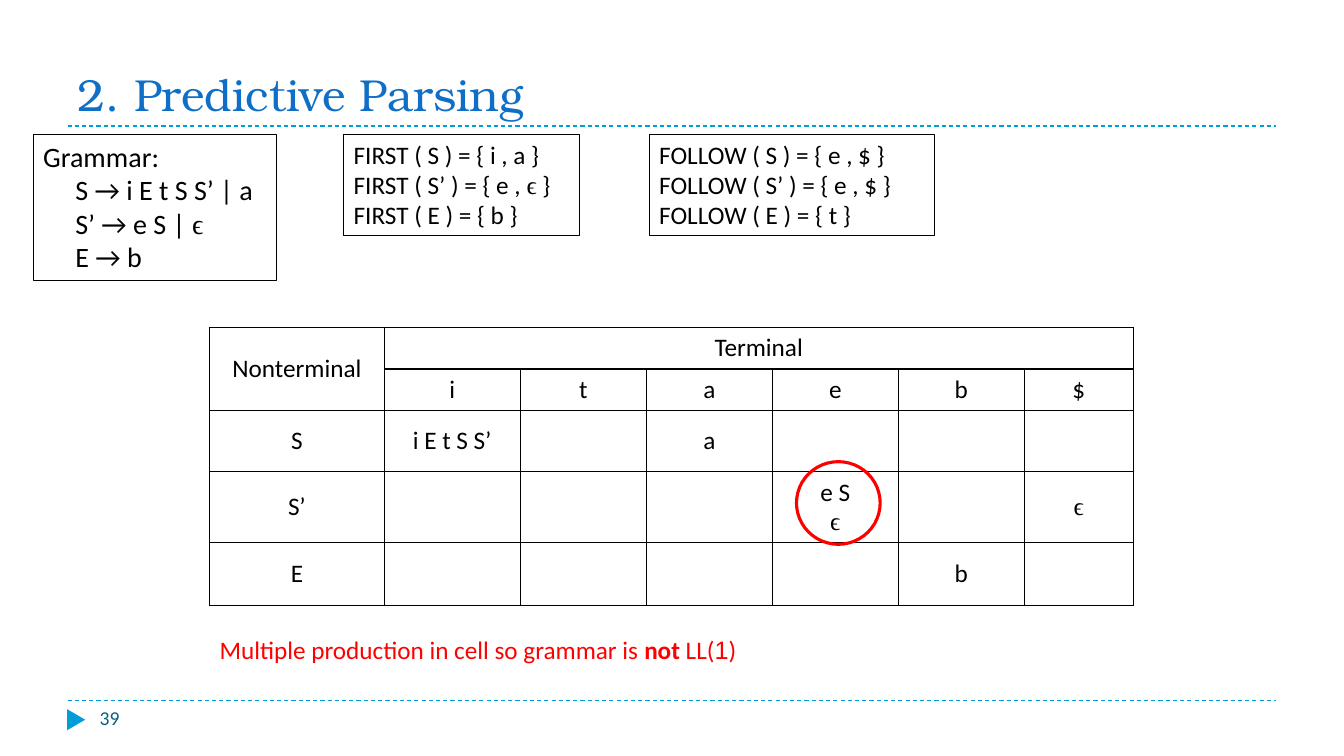
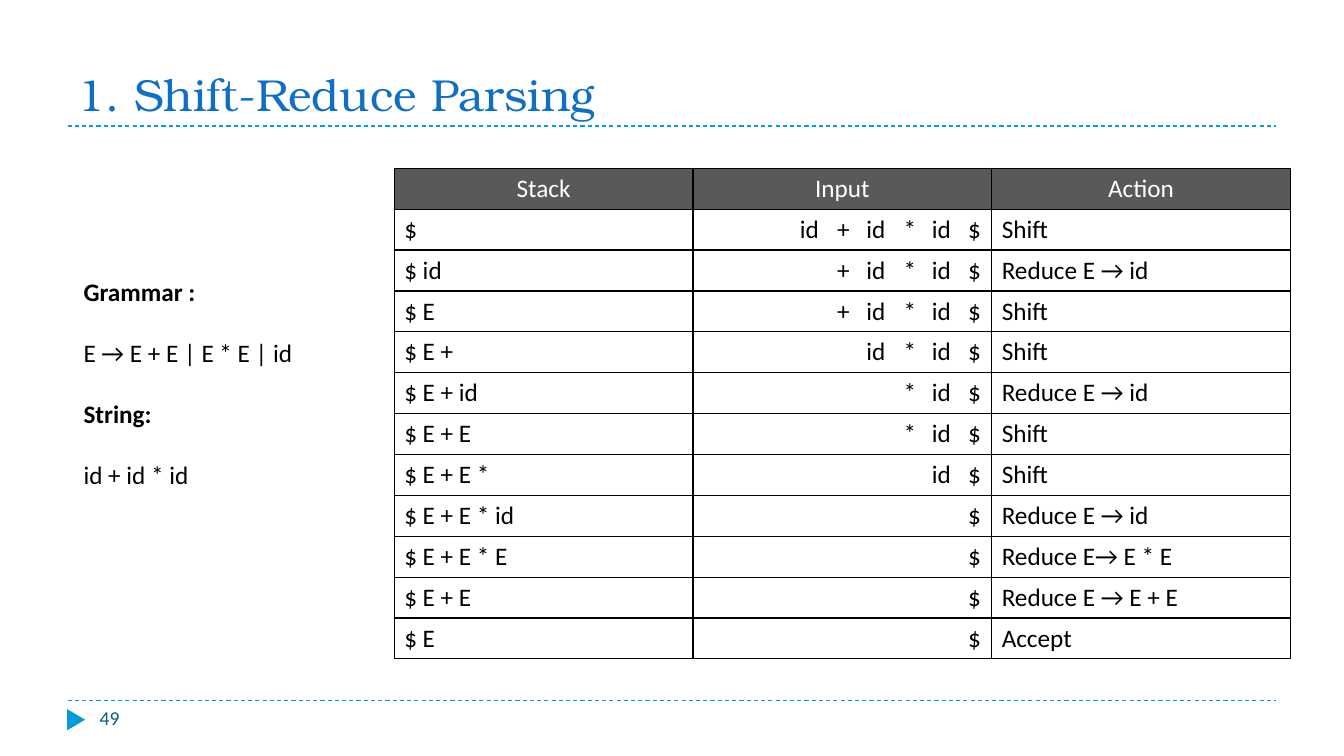
import dataclasses
import itertools
import typing

import lxml.etree
import pptx
import pptx.dml.color
import pptx.enum.dml
import pptx.enum.shapes
import pptx.enum.text
import pptx.oxml.ns
import pptx.presentation
import pptx.shapes.autoshape
import pptx.shapes.base
import pptx.slide
import pptx.table
import pptx.text.text
import pptx.util

Inches = pptx.util.Inches
Pt = pptx.util.Pt
RGBColor = pptx.dml.color.RGBColor
Align = pptx.enum.text.PP_ALIGN
Anchor = pptx.enum.text.MSO_ANCHOR
ShapeType = pptx.enum.shapes.MSO_SHAPE
qn = pptx.oxml.ns.qn


@dataclasses.dataclass(frozen=True)
class Theme:
    accent: str = "009DD9"
    title: str = "0F6FC6"
    number: str = "04617B"
    ink: str = "000000"
    alert: str = "FF0000"
    header_fill: str = "595959"
    header_text: str = "FFFFFF"
    title_font: str = "TeX Gyre Bonum"
    body_font: str = "Calibri"
    symbol_font: str = "Times New Roman"
    digit_font: str = "Arial"
    title_size: int = 32
    grammar_size: int = 20
    body_size: int = 18
    number_size: int = 14


THEME = Theme()


class Box(typing.NamedTuple):
    left: float
    top: float
    width: float
    height: float

    def lengths(self) -> list[int]:
        return [Inches(value) for value in self]


class Span(typing.NamedTuple):
    text: str
    font: str = THEME.body_font
    bold: bool = False


@dataclasses.dataclass(frozen=True)
class Line:
    spans: tuple[Span, ...]
    align: Align = Align.LEFT
    indent: float = 0
    space_before: float = 0
    tabs: tuple[float, ...] = ()


@dataclasses.dataclass(frozen=True)
class Panel:
    box: Box
    lines: list[Line]
    size: int = THEME.body_size
    color: str = THEME.ink
    outlined: bool = False


@dataclasses.dataclass(frozen=True)
class CellStyle:
    margin: float = 0.1
    color: str = THEME.ink
    fill: str | None = None


def set_attributes(target: object, values: dict[str, typing.Any]) -> None:
    for name, value in values.items():
        setattr(target, name, value)


def line(text: str, bold: bool = False, **options: typing.Any) -> Line:
    pieces = itertools.groupby(text, key=lambda letter: letter == "ϵ")
    spans = tuple(
        Span("".join(letters), THEME.symbol_font if symbol else THEME.body_font, bold)
        for symbol, letters in pieces
    )
    return Line(spans, **options)


def write_lines(frame: pptx.text.text.TextFrame, lines: list[Line], size: int, color: str) -> None:
    for index, content in enumerate(lines):
        paragraph = frame.paragraphs[0] if index == 0 else frame.add_paragraph()
        set_attributes(paragraph, {"alignment": content.align, "space_before": Pt(content.space_before)})
        properties = paragraph._p.get_or_add_pPr()
        if content.indent:
            properties.set("marL", str(Inches(content.indent)))
        if content.tabs:
            stops = lxml.etree.SubElement(properties, qn("a:tabLst"))
            for position in content.tabs:
                lxml.etree.SubElement(stops, qn("a:tab"), pos=str(Inches(position)), algn="l")
        for span in content.spans:
            run = paragraph.add_run()
            run.text = span.text
            set_attributes(run.font, {"name": span.font, "size": Pt(size), "bold": span.bold})
            run.font.color.rgb = RGBColor.from_string(color)


def outline(shape: pptx.shapes.autoshape.Shape, color: str, width: float) -> None:
    shape.shadow.inherit = False
    shape.fill.background()
    shape.line.color.rgb = RGBColor.from_string(color)
    shape.line.width = Pt(width)


def add_panel(slide: pptx.slide.Slide, panel: Panel) -> None:
    if panel.outlined:
        shape = slide.shapes.add_shape(ShapeType.RECTANGLE, *panel.box.lengths())
        outline(shape, THEME.ink, 0.75)
    else:
        shape = slide.shapes.add_textbox(*panel.box.lengths())
    set_attributes(shape.text_frame, {"word_wrap": True, "vertical_anchor": Anchor.TOP})
    write_lines(shape.text_frame, panel.lines, panel.size, panel.color)


def add_dashed_rule(slide: pptx.slide.Slide, top: float) -> None:
    rule = slide.shapes.add_connector(
        pptx.enum.shapes.MSO_CONNECTOR.STRAIGHT, Inches(0.67), Inches(top), Inches(12.66), Inches(top)
    )
    rule.line.color.rgb = RGBColor.from_string(THEME.accent)
    set_attributes(rule.line, {"width": Pt(0.75), "dash_style": pptx.enum.dml.MSO_LINE.DASH})
    lxml.etree.SubElement(rule._element.spPr, qn("a:effectLst"))


def add_titled_slide(
    presentation: pptx.presentation.Presentation, title: str, number: int
) -> pptx.slide.Slide:
    slide = presentation.slides.add_slide(presentation.slide_layouts[5])
    for top in (6.95, 1.25):
        add_dashed_rule(slide, top)
    marker = slide.shapes.add_shape(ShapeType.ISOSCELES_TRIANGLE, *Box(0.65, 7.05, 0.21, 0.18).lengths())
    marker.rotation = 90
    marker.shadow.inherit = False
    marker.fill.solid()
    marker.fill.fore_color.rgb = RGBColor.from_string(THEME.accent)
    marker.line.fill.background()
    placeholder = slide.shapes.title
    names = ("left", "top", "width", "height")
    set_attributes(placeholder, dict(zip(names, Box(0.67, 0.25, 12, 1).lengths())))
    frame = placeholder.text_frame
    set_attributes(frame, {
        "vertical_anchor": Anchor.BOTTOM,
        "word_wrap": True,
        "auto_size": pptx.enum.text.MSO_AUTO_SIZE.NONE,
    })
    write_lines(frame, [Line((Span(title, THEME.title_font),))], THEME.title_size, THEME.title)
    add_panel(slide, Panel(Box(0.89, 6.95, 2.89, 0.4), [line(str(number))], THEME.number_size, THEME.number))
    return slide


def add_grid(slide: pptx.slide.Slide, box: Box, rows: int, columns: int) -> pptx.table.Table:
    table = slide.shapes.add_table(rows, columns, *box.lengths()).table
    set_attributes(table, {"first_row": False, "horz_banding": False})
    return table


def fill_cell(cell: pptx.table._Cell, lines: list[Line], style: CellStyle) -> None:
    margin = Inches(style.margin)
    set_attributes(cell, {
        "margin_left": margin,
        "margin_right": margin,
        "vertical_anchor": Anchor.MIDDLE,
    })
    properties = cell._tc.get_or_add_tcPr()
    for side in ("a:lnL", "a:lnR", "a:lnT", "a:lnB"):
        border = lxml.etree.SubElement(properties, qn(side), w=str(Pt(1)))
        solid = lxml.etree.SubElement(border, qn("a:solidFill"))
        lxml.etree.SubElement(solid, qn("a:srgbClr"), val=THEME.ink)
    if style.fill:
        cell.fill.solid()
        cell.fill.fore_color.rgb = RGBColor.from_string(style.fill)
    else:
        cell.fill.background()
    write_lines(cell.text_frame, lines, THEME.body_size, style.color)


def build_predictive_parsing(presentation: pptx.presentation.Presentation) -> None:
    slide = add_titled_slide(presentation, "2. Predictive Parsing", 39)
    rules = ("S → i E t S S’ | a", "S’ → e S | ϵ", "E → b")
    first = ("FIRST ( S ) = { i , a }", "FIRST ( S’ ) = { e , ϵ }", "FIRST ( E ) = { b }")
    follow = ("FOLLOW ( S ) = { e , $ }", "FOLLOW ( S’ ) = { e , $ }", "FOLLOW ( E ) = { t }")
    verdict = Line((
        Span("Multiple production in cell so grammar is "),
        Span("not", bold=True),
        Span(" LL("),
        Span("1", THEME.digit_font),
        Span(")"),
    ))
    grammar = [line("Grammar:"), *(line(rule, indent=0.32) for rule in rules)]
    for panel in (
        Panel(Box(0.33, 1.33, 2.41, 1.45), grammar, THEME.grammar_size, outlined=True),
        Panel(Box(3.41, 1.33, 2.34, 1.01), [line(text) for text in first], outlined=True),
        Panel(Box(6.44, 1.33, 2.83, 1.01), [line(text) for text in follow], outlined=True),
        Panel(Box(2.08, 6.24, 5.66, 0.4), [verdict], color=THEME.alert),
    ):
        add_panel(slide, panel)

    entries = (
        ("Nonterminal", "Terminal", "", "", "", "", ""),
        ("", "i", "t", "a", "e", "b", "$"),
        ("S", "i E t S S’", "", "a", "", "", ""),
        ("S’", "", "", "", "e S\nϵ", "", "ϵ"),
        ("E", "", "", "", "", "b", ""),
    )
    table = add_grid(slide, Box(2.08, 3.25, 9.17, 2.75), len(entries), len(entries[0]))
    for column, width in zip(table.columns, (1.73, 1.35, 1.25, 1.25, 1.25, 1.25, 1.08)):
        column.width = Inches(width)
    for row, height in zip(table.rows, (0.41, 0.41, 0.61, 0.7, 0.63)):
        row.height = Inches(height)
    for row_index, row in enumerate(entries):
        for column_index, text in enumerate(row):
            lines = [line(part, align=Align.CENTER) for part in text.split("\n")]
            fill_cell(table.cell(row_index, column_index), lines, CellStyle(margin=0.13))
    table.cell(0, 0).merge(table.cell(1, 0))
    table.cell(0, 1).merge(table.cell(0, 6))
    conflict = slide.shapes.add_shape(ShapeType.OVAL, *Box(7.9, 4.58, 0.83, 0.82).lengths())
    outline(conflict, THEME.alert, 2.25)


def input_line(text: str) -> Line:
    tokens = text.split()
    stops = (0.96, 1.33, 1.62, 1.99, 2.27, 2.63)[-len(tokens):]
    return line("".join(f"\t{token}" for token in tokens), tabs=stops)


def build_shift_reduce_parsing(presentation: pptx.presentation.Presentation) -> None:
    slide = add_titled_slide(presentation, "1. Shift-Reduce Parsing", 49)
    example = [
        line("Grammar :", bold=True),
        line("E → E + E | E * E | id", space_before=22),
        line("String:", bold=True, space_before=22),
        line("id + id * id", space_before=22),
    ]
    add_panel(slide, Panel(Box(0.73, 2.69, 2.35, 2.22), example))

    headings = ("Stack", "Input", "Action")
    steps = (
        ("$", "id + id * id $", "Shift"),
        ("$ id", "+ id * id $", "Reduce E → id"),
        ("$ E", "+ id * id $", "Shift"),
        ("$ E +", "id * id $", "Shift"),
        ("$ E + id", "* id $", "Reduce E → id"),
        ("$ E + E", "* id $", "Shift"),
        ("$ E + E *", "id $", "Shift"),
        ("$ E + E * id", "$", "Reduce E → id"),
        ("$ E + E * E", "$", "Reduce E→ E * E"),
        ("$ E + E", "$", "Reduce E → E + E"),
        ("$ E", "$", "Accept"),
    )
    table = add_grid(slide, Box(3.91, 1.67, 8.89, 4.87), len(steps) + 1, len(headings))
    header_style = CellStyle(color=THEME.header_text, fill=THEME.header_fill)
    for column_index, heading in enumerate(headings):
        fill_cell(table.cell(0, column_index), [line(heading, align=Align.CENTER)], header_style)
    for row_index, (stack, remaining, action) in enumerate(steps, start=1):
        for column_index, content in enumerate((line(stack), input_line(remaining), line(action))):
            fill_cell(table.cell(row_index, column_index), [content], CellStyle())


def main() -> None:
    presentation = pptx.Presentation()
    set_attributes(presentation, {"slide_width": Inches(13.33), "slide_height": Inches(7.5)})
    build_predictive_parsing(presentation)
    build_shift_reduce_parsing(presentation)
    presentation.save("out.pptx")


if __name__ == "__main__":
    main()
